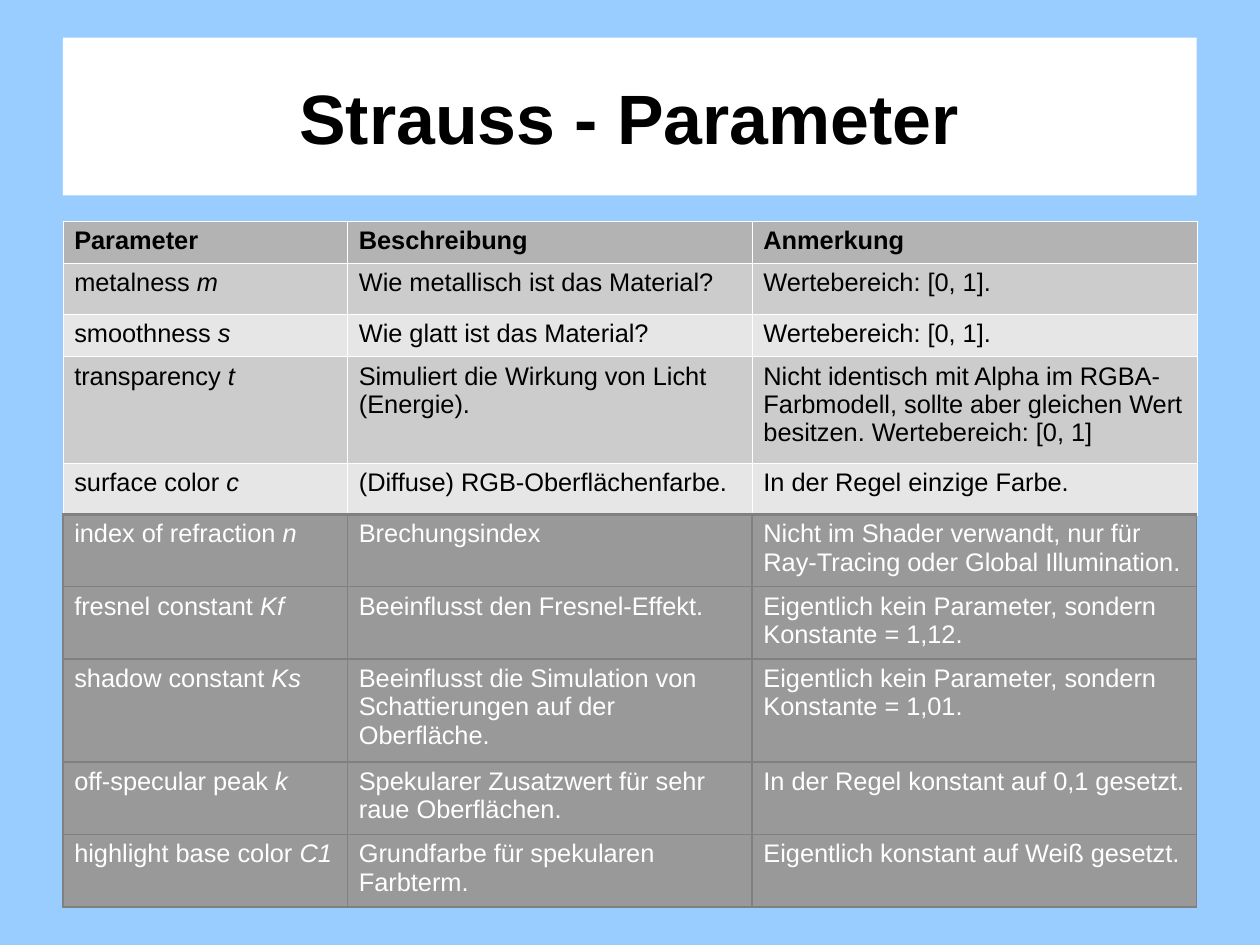
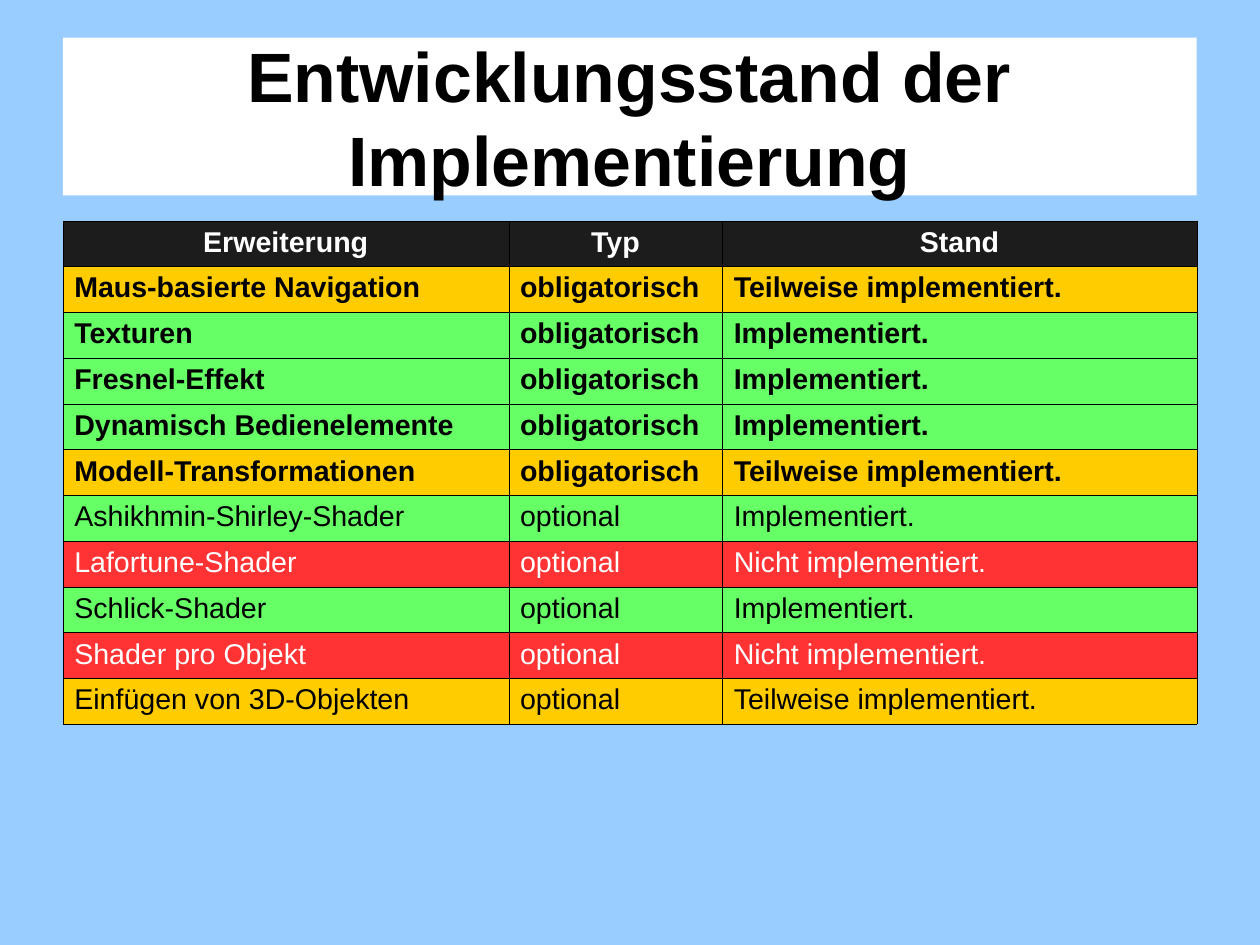
from dataclasses import dataclass, replace

import pptx
import pptx.dml.color
import pptx.enum.text
import pptx.oxml
import pptx.oxml.ns
import pptx.presentation
import pptx.slide
import pptx.table
import pptx.text.text
import pptx.util

RGBColor = pptx.dml.color.RGBColor
Inches = pptx.util.Inches
Pt = pptx.util.Pt
Align = pptx.enum.text.PP_ALIGN

SKY = RGBColor(0x99, 0xCC, 0xFF)
WHITE = RGBColor(0xFF, 0xFF, 0xFF)
BLACK = RGBColor(0x00, 0x00, 0x00)
COAL = RGBColor(0x1C, 0x1C, 0x1C)
STEEL = RGBColor(0x80, 0x80, 0x80)
GREY = RGBColor(0x99, 0x99, 0x99)
STONE = RGBColor(0xB3, 0xB3, 0xB3)
SILVER = RGBColor(0xCC, 0xCC, 0xCC)
PALE = RGBColor(0xE6, 0xE6, 0xE6)
AMBER = RGBColor(0xFF, 0xCC, 0x00)
GREEN = RGBColor(0x66, 0xFF, 0x66)
RED = RGBColor(0xFF, 0x33, 0x33)

FONT = "Arial"
CM_PER_INCH = 2.54
PAGE_WIDTH, PAGE_HIGH = 28 / CM_PER_INCH, 21 / CM_PER_INCH
LEFT, WIDTH = 0.55, 9.92
TITLE_TOP, TITLE_HIGH = 0.33, 1.38
TABLE_TOP = 1.93


@dataclass(frozen=True)
class Line:
    color: RGBColor
    width: float


HAIR = Line(WHITE, 0.06)
INK = Line(BLACK, 0.06)
RULE = Line(STEEL, 1.13)
BAR = Line(STEEL, 2.27)


@dataclass(frozen=True)
class Style:
    fill: RGBColor
    ink: RGBColor
    edge: Line
    top: Line
    bold: bool = False
    align: Align = Align.LEFT


@dataclass(frozen=True)
class Row:
    """A table row; symbol is set in italics after the first cell's text."""
    cells: tuple[str, str, str]
    style: Style
    high: float
    symbol: str = ""


HEAD = Style(STONE, BLACK, HAIR, HAIR, bold=True)
DARK = Style(SILVER, BLACK, HAIR, HAIR)
LIGHT = replace(DARK, fill=PALE)
UNUSED = Style(GREY, WHITE, RULE, RULE)
FIRST_UNUSED = replace(UNUSED, top=BAR)

PARAMS = [
    Row(("Parameter", "Beschreibung", "Anmerkung"), HEAD, 0.37),
    Row(("metalness ", "Wie metallisch ist das Material?",
         "Wertebereich: [0, 1]."), DARK, 0.45, "m"),
    Row(("smoothness ", "Wie glatt ist das Material?",
         "Wertebereich: [0, 1]."), LIGHT, 0.37, "s"),
    Row(("transparency ", "Simuliert die Wirkung von Licht (Energie).",
         "Nicht identisch mit Alpha im RGBA-Farbmodell, sollte aber gleichen "
         "Wert besitzen. Wertebereich: [0, 1]"), DARK, 0.93, "t"),
    Row(("surface color ", "(Diffuse) RGB-Oberflächenfarbe.",
         "In der Regel einzige Farbe."), LIGHT, 0.45, "c"),
    Row(("index of refraction ", "Brechungsindex",
         "Nicht im Shader verwandt, nur für Ray-Tracing oder Global "
         "Illumination."), FIRST_UNUSED, 0.63, "n"),
    Row(("fresnel constant ", "Beeinflusst den Fresnel-Effekt.",
         "Eigentlich kein Parameter, sondern Konstante = 1,12."),
        UNUSED, 0.63, "Kf"),
    Row(("shadow constant ",
         "Beeinflusst die Simulation von Schattierungen auf der Oberfläche.",
         "Eigentlich kein Parameter, sondern Konstante = 1,01."),
        UNUSED, 0.9, "Ks"),
    Row(("off-specular peak ",
         "Spekularer Zusatzwert für sehr raue Oberflächen.",
         "In der Regel konstant auf 0,1 gesetzt."), UNUSED, 0.63, "k"),
    Row(("highlight base color ", "Grundfarbe für spekularen Farbterm.",
         "Eigentlich konstant auf Weiß gesetzt."), UNUSED, 0.63, "C1"),
]

STATE_HIGH = 0.4
MUST, MAY = "obligatorisch", "optional"
DONE, PART, OPEN = ("Implementiert.", "Teilweise implementiert.",
                    "Nicht implementiert.")
STATE_STYLES = {
    DONE: Style(GREEN, BLACK, INK, INK),
    PART: Style(AMBER, BLACK, INK, INK),
    OPEN: Style(RED, WHITE, INK, INK),
}
STATES = [
    ("Maus-basierte Navigation", MUST, PART),
    ("Texturen", MUST, DONE),
    ("Fresnel-Effekt", MUST, DONE),
    ("Dynamisch Bedienelemente", MUST, DONE),
    ("Modell-Transformationen", MUST, PART),
    ("Ashikhmin-Shirley-Shader", MAY, DONE),
    ("Lafortune-Shader", MAY, OPEN),
    ("Schlick-Shader", MAY, DONE),
    ("Shader pro Objekt", MAY, OPEN),
    ("Einfügen von 3D-Objekten", MAY, PART),
]


def state_rows() -> list[Row]:
    head = Style(COAL, WHITE, INK, INK, bold=True, align=Align.CENTER)
    rows = [Row(("Erweiterung", "Typ", "Stand"), head, STATE_HIGH)]
    for cells in STATES:
        style = replace(STATE_STYLES[cells[2]], bold=cells[1] == MUST)
        rows.append(Row(cells, style, STATE_HIGH))
    return rows


def add_run(para: pptx.text.text._Paragraph, text: str, size: float,
            color: RGBColor, bold: bool = False,
            italic: bool = False) -> None:
    run = para.add_run()
    run.text = text
    font = run.font
    font.name, font.size = FONT, Pt(size)
    font.bold, font.italic = bold, italic
    font.color.rgb = color


def add_slide(deck: pptx.presentation.Presentation,
              title: str) -> pptx.slide.Slide:
    slide = deck.slides.add_slide(deck.slide_layouts.get_by_name("Title Only"))
    shape = slide.shapes.title
    shape.left, shape.top = Inches(LEFT), Inches(TITLE_TOP)
    shape.width, shape.height = Inches(WIDTH), Inches(TITLE_HIGH)
    shape.fill.solid()
    shape.fill.fore_color.rgb = WHITE
    frame = shape.text_frame
    frame.margin_left = frame.margin_right = 0
    frame.margin_top = frame.margin_bottom = 0
    frame.word_wrap = True
    frame.auto_size = pptx.enum.text.MSO_AUTO_SIZE.SHAPE_TO_FIT_TEXT
    frame.vertical_anchor = pptx.enum.text.MSO_ANCHOR.MIDDLE
    para = frame.paragraphs[0]
    para.alignment = Align.CENTER
    add_run(para, title, 44, BLACK, bold=True)
    return slide


def set_edges(cell: pptx.table._Cell, style: Style, low: Line) -> None:
    """Draw the four borders; call before the fill, as the schema orders."""
    props = cell._tc.get_or_add_tcPr()
    edges = {"L": style.edge, "R": style.edge, "T": style.top, "B": low}
    for side, line in edges.items():
        props.append(pptx.oxml.parse_xml(
            f'<a:ln{side} {pptx.oxml.ns.nsdecls("a")} w="{Pt(line.width)}">'
            f'<a:solidFill><a:srgbClr val="{line.color}"/></a:solidFill>'
            f'</a:ln{side}>'))


def fill_cell(cell: pptx.table._Cell, text: str, symbol: str, style: Style,
              low: Line, size: float) -> None:
    set_edges(cell, style, low)
    cell.fill.solid()
    cell.fill.fore_color.rgb = style.fill
    cell.margin_left = cell.margin_right = Inches(0.1)
    cell.margin_top = cell.margin_bottom = Inches(0.05)
    para = cell.text_frame.paragraphs[0]
    para.alignment = style.align
    add_run(para, text, size, style.ink, style.bold)
    if symbol:
        add_run(para, symbol, size, style.ink, style.bold, italic=True)


def add_table(slide: pptx.slide.Slide, rows: list[Row],
              widths: tuple[float, ...], size: float) -> None:
    high = sum(row.high for row in rows)
    table = slide.shapes.add_table(
        len(rows), len(widths), Inches(LEFT), Inches(TABLE_TOP),
        Inches(WIDTH), Inches(high)).table
    table.first_row = table.horz_banding = False
    for column, width in zip(table.columns, widths):
        column.width = Inches(width)
    for i, row in enumerate(rows):
        table.rows[i].height = Inches(row.high)
        last = i == len(rows) - 1
        low = row.style.edge if last else rows[i + 1].style.top
        for j, text in enumerate(row.cells):
            symbol = row.symbol if j == 0 else ""
            fill_cell(table.cell(i, j), text, symbol, row.style, low, size)


def main() -> None:
    deck = pptx.Presentation()
    deck.slide_width = Inches(PAGE_WIDTH)
    deck.slide_height = Inches(PAGE_HIGH)
    back = deck.slide_master.background.fill
    back.solid()
    back.fore_color.rgb = SKY

    slide = add_slide(deck, "Strauss - Parameter")
    add_table(slide, PARAMS, (2.49, 3.54, 3.89), 16)
    slide = add_slide(deck, "Entwicklungsstand der Implementierung")
    add_table(slide, state_rows(), (3.9, 1.87, 4.15), 18)
    deck.save("out.pptx")


if __name__ == "__main__":
    main()
